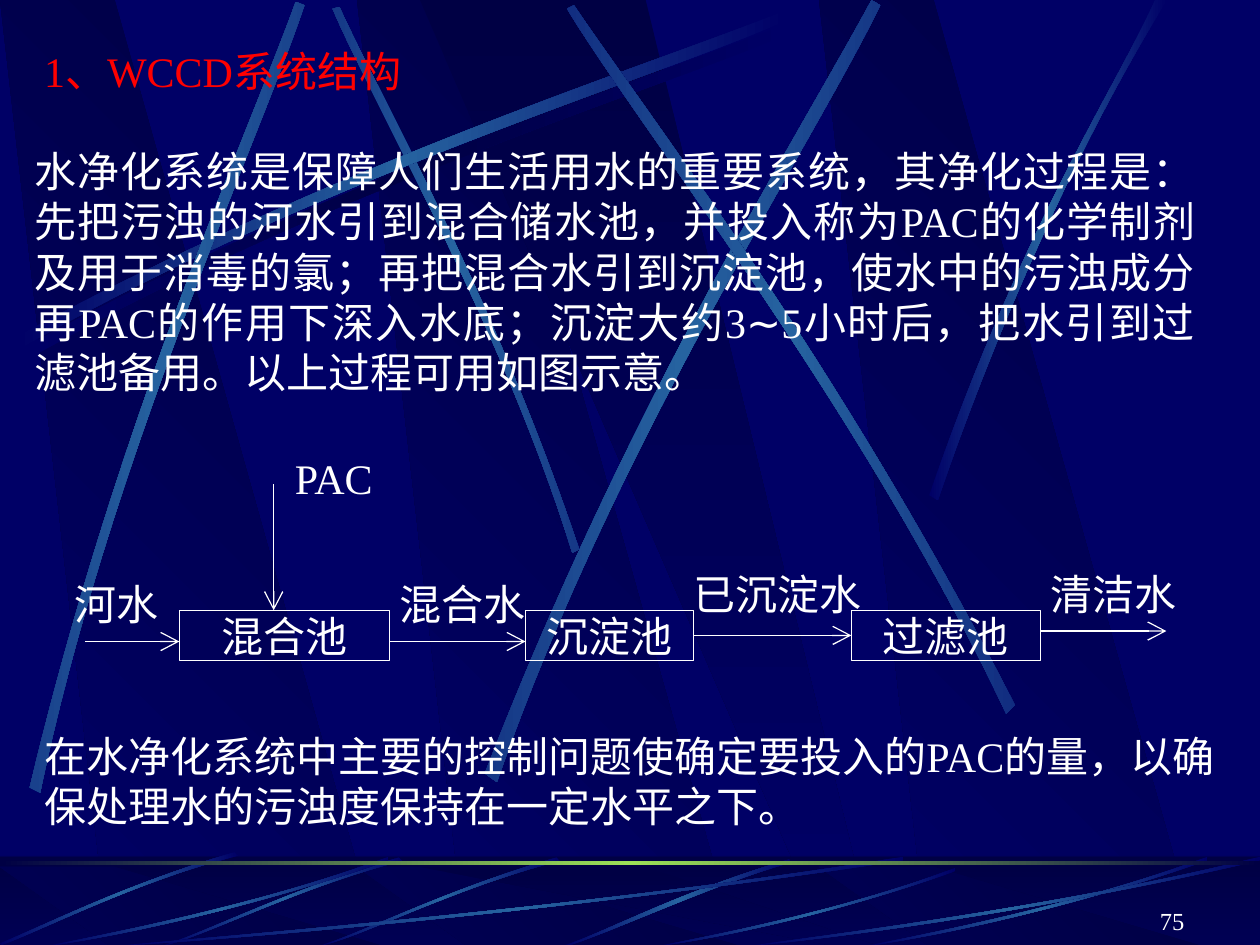
from dataclasses import dataclass
from math import cos, radians, sin

from lxml import etree
from pptx import Presentation
from pptx.dml.color import RGBColor
from pptx.enum.shapes import MSO_CONNECTOR, MSO_SHAPE
from pptx.enum.text import MSO_ANCHOR, PP_ALIGN
from pptx.oxml.ns import qn
from pptx.util import Pt

RECTANGLE = MSO_SHAPE.RECTANGLE
STRAIGHT = MSO_CONNECTOR.STRAIGHT
TOP = MSO_ANCHOR.TOP
LEFT, CENTER, RIGHT, JUSTIFY = PP_ALIGN.LEFT, PP_ALIGN.CENTER, PP_ALIGN.RIGHT, PP_ALIGN.JUSTIFY
SIDE_LEFT, SIDE_RIGHT = 1, 3
WIDTH, HEIGHT = 720, 540


@dataclass(frozen=True)
class Theme:
    navy: str = "000066"
    dark: str = "000044"
    streak: str = "2663A0"
    green: str = "9CE157"
    white: str = "FFFFFF"
    red: str = "FF0000"
    latin: str = "Times New Roman"
    chinese: str = "Noto Sans CJK SC"
    symbol: str = "Arial"
    body: float = 24
    small: float = 14
    line: float = 0.75


THEME = Theme()
PANEL_STOPS = (THEME.dark, THEME.navy)
FADING = (THEME.navy, THEME.streak, THEME.navy)
SHADED = (THEME.navy, THEME.dark, THEME.navy)

# Each streak is two Bezier edges: four points out, four points back
BROAD = [(10, 192), (200, 90), (373, 37), (446, 7), (449, 12), (376, 44), (179, 103), (12, 199)]
STEEP = [(331, 314), (282, 168), (217, 55), (194, 4), (190, 5), (212, 57), (287, 186), (327, 316)]
LONG_STREAKS = [  # with the turn of each
    (311.7, [(17, 450), (67, 240), (142, 76), (169, 1),
             (174, 3), (149, 78), (62, 265), (23, 453)]),
    (321.6, [(277, 442), (359, 230), (459, 73), (498, 0),
             (503, 3), (467, 78), (350, 256), (284, 447)]),
    (34.8, [(580, 403), (482, 211), (372, 68), (328, 3),
            (324, 5), (365, 73), (493, 234), (575, 408)]),
    (0, [(531, 283), (586, 125), (639, 48), (660, 0),
         (667, 0), (602, 104), (554, 232), (536, 286)]),
]
FOOT_CURVE = [(451, 491), (387, 510), (343, 534), (323, 543),
              (326, 543), (353, 531), (411, 504), (452, 493)]
FOOT_SHORT = [(318, 490), (256, 508), (207, 533), (184, 542),
              (185, 544), (207, 535), (263, 506), (320, 492)]
# Unit shape, stretched to each box (left, top, width, height)
WEDGE = [(1, .04), (.57, .57), (.17, .85), (.01, 1), (0, .99), (.17, .81), (.62, .51), (1, 0)]
WEDGE_BOXES = [(72, 489.6, 444, 54), (30, 489.6, 192, 54), (379.4, 496, 166.3, 47.5),
               (498, 489.6, 192, 54), (432, 489.6, 288, 54)]


def gradient(shape, colors, angle):
    shape.fill.gradient()
    shape.fill.gradient_angle = 0
    fill = shape._element.spPr.find(qn("a:gradFill"))
    fill.set("rotWithShape", "0")
    fill.find(qn("a:lin")).set("ang", str(angle * 60000))
    stops = fill.find(qn("a:gsLst"))
    for stop in list(stops):
        stops.remove(stop)
    for index, color in enumerate(colors):
        position = index * 100000 // (len(colors) - 1)
        stop = etree.SubElement(stops, qn("a:gs"), pos=str(position))
        etree.SubElement(stop, qn("a:srgbClr"), val=color)


def finish(shape):
    shape.shadow.inherit = False
    shape.line.fill.background()


def add_outline(slide, points, colors, angle):
    points = [(Pt(x), Pt(y)) for x, y in points]
    builder = slide.shapes.build_freeform(*points[0], scale=1.0)
    builder.add_line_segments(points[1:], close=True)
    shape = builder.convert_to_shape()
    gradient(shape, colors, angle)
    finish(shape)
    return shape


def turn(x, y, degrees):
    angle = radians(degrees)
    return x * cos(angle) - y * sin(angle), x * sin(angle) + y * cos(angle)


def bend_edges(shape):
    """Turn segments 1-3 and 5-7 of the outline into cubic curves."""
    outline = next(shape._element.iter(qn("a:moveTo"))).getparent()
    segments = outline.findall(qn("a:lnTo"))
    for edge in (segments[:3], segments[4:7]):
        curve = etree.Element(qn("a:cubicBezTo"))
        edge[0].addprevious(curve)
        for segment in edge:
            curve.append(segment[0])
            outline.remove(segment)


def add_streak(slide, points, colors=FADING, rotation=0, shift=(0, 0)):
    moved = [(x + shift[0], min(y + shift[1], HEIGHT)) for x, y in points]
    shape = add_outline(slide, [turn(x, y, -rotation) for x, y in moved], colors, 180)
    bend_edges(shape)
    # Bring the centre of the level shape back to its place on the slide
    x, y = turn(shape.left + shape.width / 2, shape.top + shape.height / 2, rotation)
    shape.left, shape.top = int(x - shape.width / 2), int(y - shape.height / 2)
    shape.rotation = rotation


def add_panels(slide, top, height):
    bottom = top + height
    for left in (204, 0, 468):
        corners = [(left + 62, bottom), (left + 217, bottom), (left + 65.5, top), (left, top)]
        add_outline(slide, corners, PANEL_STOPS, 135)
    add_outline(slide, [(240, top), (474, bottom), (500, bottom), (369, top)], PANEL_STOPS, 90)


def add_band(slide, top, height):
    shape = slide.shapes.add_shape(RECTANGLE, 0, Pt(top), Pt(WIDTH), Pt(height))
    finish(shape)
    return shape


def add_background(slide):
    slide.background.fill.solid()
    slide.background.fill.fore_color.rgb = RGBColor.from_string(THEME.navy)
    add_panels(slide, 0, HEIGHT)
    add_streak(slide, BROAD, SHADED, shift=(4.5, 6))
    add_streak(slide, STEEP, rotation=45)
    add_streak(slide, BROAD)
    for rotation, points in LONG_STREAKS:
        add_streak(slide, points, rotation=rotation)

    # Footer
    gradient(add_band(slide, 489.6, 50.4), PANEL_STOPS, 90)
    add_panels(slide, 495.4, 44.6)
    veil = add_band(slide, 489, 51)
    veil.fill.solid()
    veil.fill.fore_color.rgb = RGBColor.from_string(THEME.dark)
    color = veil._element.spPr.find(qn("a:solidFill"))[0]
    etree.SubElement(color, qn("a:alpha"), val="50000")
    add_streak(slide, FOOT_CURVE)
    for shift in ((0, 0), (-90, 0), (-184, -3)):
        add_streak(slide, FOOT_SHORT, rotation=314.9, shift=shift)
    for left, top, width, height in WEDGE_BOXES:
        add_streak(slide, [(left + x * width, top + y * height) for x, y in WEDGE])
    gradient(add_band(slide, 492.3, 1.8), (THEME.dark, THEME.green, THEME.dark), 180)


def write(shape, runs, align=LEFT, color=THEME.white, size=THEME.body, wrap=True):
    frame = shape.text_frame
    frame.word_wrap = wrap
    frame.vertical_anchor = TOP
    frame.margin_left = frame.margin_right = frame.margin_top = frame.margin_bottom = 0
    paragraph = frame.paragraphs[0]
    paragraph.alignment = align
    paragraph.line_spacing = Pt(size * 1.2)
    for text, font in runs:
        run = paragraph.add_run()
        run.text = text
        run.font.size = Pt(size)
        run.font.name = font
        run.font.color.rgb = RGBColor.from_string(color)
        etree.SubElement(run._r.get_or_add_rPr(), qn("a:ea"), typeface=THEME.chinese)


def add_text(slide, left, top, width, height, runs, **style):
    shape = slide.shapes.add_textbox(Pt(left), Pt(top), Pt(width), Pt(height))
    write(shape, runs, **style)


def add_tank(slide, left, width, label):
    shape = slide.shapes.add_shape(RECTANGLE, Pt(left), Pt(348.7), Pt(width), Pt(28.8))
    shape.shadow.inherit = False
    shape.fill.background()
    shape.line.color.rgb = RGBColor.from_string(THEME.white)
    shape.line.width = Pt(THEME.line)
    write(shape, [(label, THEME.latin)], align=CENTER)
    return shape


def add_arrow(slide, x1, y1, x2, y2):
    arrow = slide.shapes.add_connector(STRAIGHT, Pt(x1), Pt(y1), Pt(x2), Pt(y2))
    arrow.line.color.rgb = RGBColor.from_string(THEME.white)
    arrow.line.width = Pt(THEME.line)
    line = arrow.line._get_or_add_ln()
    etree.SubElement(line, qn("a:tailEnd"), type="arrow", w="lg", len="lg")
    etree.SubElement(arrow._element.spPr, qn("a:effectLst"))
    return arrow


def add_flow(slide):
    add_tank(slide, 102.5, 120, "混合池")
    settling = add_tank(slide, 300.3, 96, "沉淀池")
    filtering = add_tank(slide, 486.5, 108, "过滤池")
    for ends in ((156.4, 276.6, 156.4, 348.7), (48.5, 366.6, 102.5, 366.6),
                 (222.5, 366.6, 300.3, 366.6), (594.5, 360.6, 666.5, 360.6)):
        add_arrow(slide, *ends)
    joined = add_arrow(slide, 396.3, 363.1, 486.5, 363.1)
    joined.begin_connect(settling, SIDE_RIGHT)
    joined.end_connect(filtering, SIDE_LEFT)
    for left, top, width, label in (
            (168.5, 258.5, 54, "PAC"), (42.5, 330.5, 54, "河水"), (228.2, 330.5, 72, "混合水"),
            (396.4, 324.7, 102, "已沉淀水"), (600.5, 324.7, 78, "清洁水")):
        add_text(slide, left, top, width, 28.8, [(label, THEME.latin)], wrap=False)


def main():
    presentation = Presentation()
    presentation.slide_width, presentation.slide_height = Pt(WIDTH), Pt(HEIGHT)
    slide = presentation.slides.add_slide(presentation.slide_layouts[6])
    add_background(slide)
    # Page number and heading
    add_text(slide, 523.4, 517.7, 153.4, 16.8, [("75", THEME.latin)],
             align=RIGHT, size=THEME.small)
    add_text(slide, 25.2, 25.9, 222.5, 28.8,
             [("1", THEME.latin), ("、", THEME.chinese), ("WCCD", THEME.latin),
              ("系统结构", THEME.chinese)], color=THEME.red, wrap=False)
    add_flow(slide)
    # Explanation above and below the flow
    add_text(slide, 19.8, 83, 663.1, 144, [
        ("水净化系统是保障人们生活用水的重要系统，其净化过程是：先把污浊的河水引到混合储水池，"
         "并投入称为PAC的化学制剂及用于消毒的氯；再把混合水引到沉淀池，使水中的污浊成分再PAC的"
         "作用下深入水底；沉淀大约3", THEME.latin),
        ("∼", THEME.symbol),
        ("5小时后，把水引到过滤池备用。以上过程可用如图示意。", THEME.latin)], align=JUSTIFY)
    add_text(slide, 25.4, 417.3, 668.9, 57.6, [
        ("在水净化系统中主要的控制问题使确定要投入的PAC的量，"
         "以确保处理水的污浊度保持在一定水平之下。", THEME.latin)])
    presentation.save("out.pptx")


if __name__ == "__main__":
    main()
